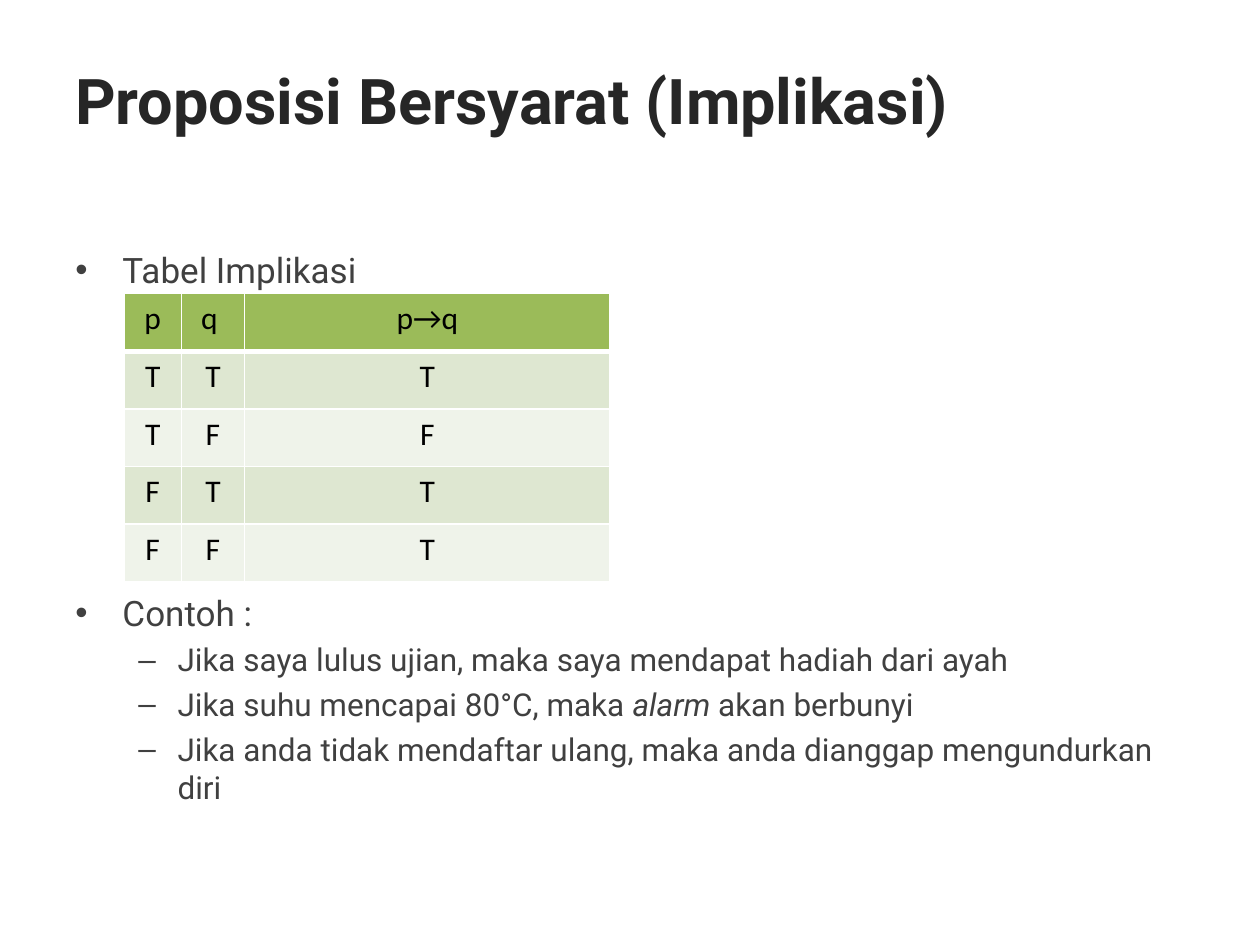
from pptx import Presentation
from pptx.dml.color import RGBColor
from pptx.enum.text import MSO_ANCHOR as Anchor, PP_ALIGN as Align
from pptx.oxml.ns import qn
from pptx.util import Cm, Pt
from lxml.etree import SubElement

TITLE_INK = RGBColor(0x26, 0x26, 0x26)
BODY_INK = RGBColor(0x40, 0x40, 0x40)
TABLE_INK = RGBColor(0, 0, 0)
BORDER = RGBColor(0xFF, 0xFF, 0xFF)
HEADER_FILL = RGBColor(0x9B, 0xBB, 0x59)
BAND_FILLS = [RGBColor(0xEF, 0xF3, 0xEA), RGBColor(0xDE, 0xE7, 0xD1)]

TRUTH_TABLE = [("p", "q ", "p→q"), "TTT", "TFF", "FTT", "FFT"]
COLUMN_SHARES = [0.118, 0.13, 0.752]
EXAMPLES = [
    [("Jika saya lulus ujian, maka saya mendapat hadiah dari ayah", False)],
    [("Jika suhu mencapai 80°C, maka ", False), ("alarm ", True),
     ("akan berbunyi", False)],
    [("Jika anda tidak mendaftar ulang, maka anda dianggap mengundurkan diri", False)],
]


def add_run(paragraph, text, font, size, color, bold=False, italic=False):
    run = paragraph.add_run()
    run.text = text
    run.font.name = font
    run.font.size = Pt(size)
    run.font.color.rgb = color
    run.font.bold = bold
    run.font.italic = italic


def add_text_frame(slide, left, top, width, height):
    frame = slide.shapes.add_textbox(left, top, width, height).text_frame
    frame.word_wrap = True
    return frame


def set_bullet(paragraph, mark, margin, hanging):
    properties = paragraph._p.get_or_add_pPr()
    properties.set("marL", str(margin))
    properties.set("indent", str(-hanging))
    SubElement(properties, qn("a:buFont"), typeface="Arial")
    SubElement(properties, qn("a:buChar"), char=mark)


def set_borders(cell, bottom_width):
    properties = cell._tc.get_or_add_tcPr()
    for side in "LRTB":
        width = bottom_width if side == "B" else 1
        line = SubElement(properties, qn(f"a:ln{side}"), w=str(Pt(width)))
        fill = SubElement(line, qn("a:solidFill"))
        SubElement(fill, qn("a:srgbClr"), val=str(BORDER))


def add_title(slide, left, top, width, height):
    frame = add_text_frame(slide, left, top, width, height)
    frame.vertical_anchor = Anchor.MIDDLE
    add_run(frame.paragraphs[0], "Proposisi Bersyarat (Implikasi)", "Roboto", 36,
            TITLE_INK, bold=True)


def add_body(slide, left, top, width, height):
    frame = add_text_frame(slide, left, top, width, height)
    table_heading = frame.paragraphs[0]
    example_heading = frame.add_paragraph()
    example_heading.space_before = Pt(172)
    for heading, text in ((table_heading, "Tabel Implikasi"),
                          (example_heading, "Contoh :")):
        set_bullet(heading, "•", Cm(0.95), Cm(0.95))
        add_run(heading, text, "Roboto", 20, BODY_INK)
    for parts in EXAMPLES:
        example = frame.add_paragraph()
        example.level = 1
        example.space_before = Pt(4)
        set_bullet(example, "–", Cm(2.06), Cm(0.79))
        for text, italic in parts:
            add_run(example, text, "Roboto", 18, BODY_INK, italic=italic)


def add_truth_table(slide, left, top, width, height):
    table = slide.shapes.add_table(len(TRUTH_TABLE), len(COLUMN_SHARES),
                                   left, top, width, height).table
    table.first_row = False
    table.horz_banding = False
    for column, share in zip(table.columns, COLUMN_SHARES):
        column.width = int(width * share)
    for row, values in enumerate(TRUTH_TABLE):
        for column, value in enumerate(values):
            cell = table.cell(row, column)
            set_borders(cell, 1 if row else 3)
            cell.fill.solid()
            cell.fill.fore_color.rgb = BAND_FILLS[row % 2] if row else HEADER_FILL
            paragraph = cell.text_frame.paragraphs[0]
            paragraph.alignment = Align.CENTER
            add_run(paragraph, value, "Calibri", 18, TABLE_INK)


def main():
    deck = Presentation()
    deck.slide_width, deck.slide_height = Cm(25.4), Cm(19.05)
    slide = deck.slides.add_slide(deck.slide_layouts[6])
    add_title(slide, Cm(1.27), Cm(0.41), Cm(22.86), Cm(3.18))
    add_body(slide, Cm(1.27), Cm(4.88), Cm(22.86), Cm(12.14))
    add_truth_table(slide, Cm(2.5), Cm(5.92), Cm(9.8), Cm(5.8))
    deck.save("out.pptx")


if __name__ == "__main__":
    main()
